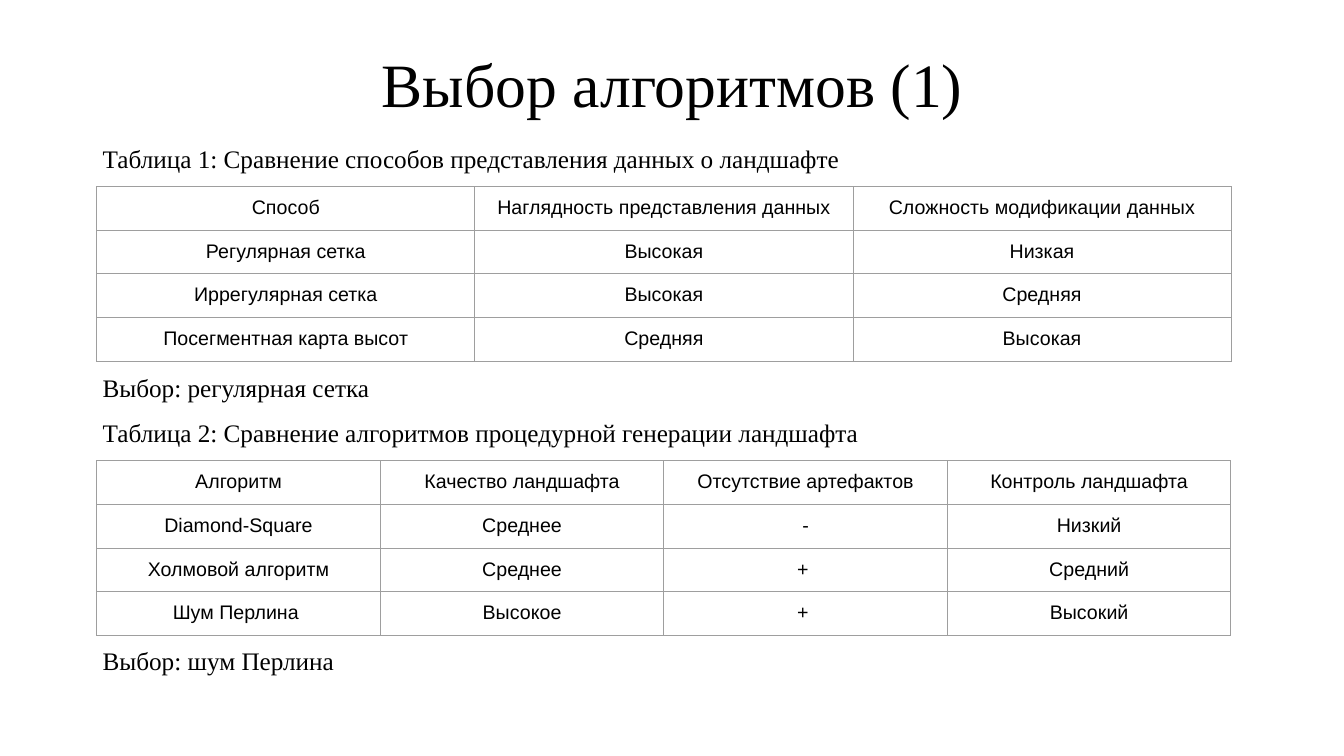
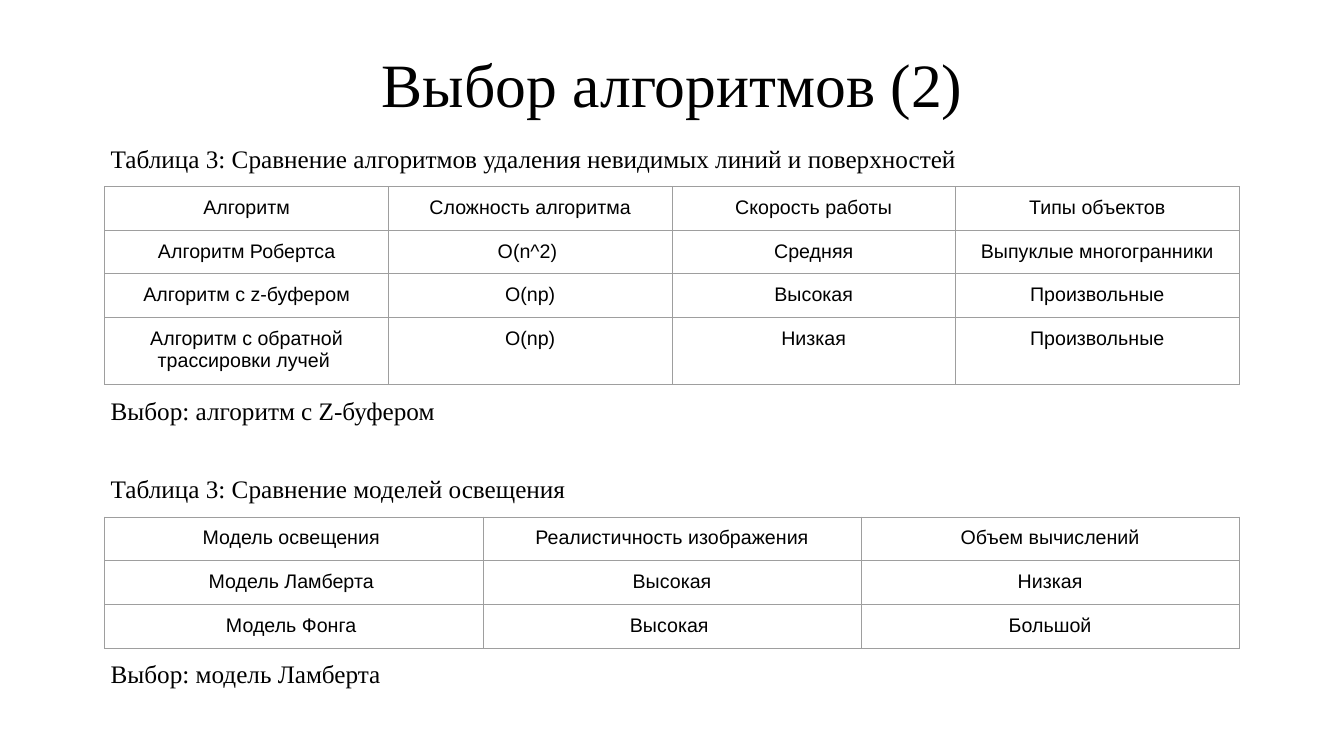
from lxml import etree
from pptx import Presentation
from pptx.dml.color import RGBColor
from pptx.enum.text import MSO_ANCHOR, PP_ALIGN
from pptx.oxml.ns import qn
from pptx.util import Inches, Pt

LEFT, CENTER = PP_ALIGN.LEFT, PP_ALIGN.CENTER
TOP, MIDDLE = MSO_ANCHOR.TOP, MSO_ANCHOR.MIDDLE
BLACK = RGBColor(0x00, 0x00, 0x00)
GREY = RGBColor(0x9E, 0x9E, 0x9E)
SERIF, SANS = "Times New Roman", "Arial"

# Content: each block has a caption, a table and a choice line;
# "top" is the table's top edge, "end" the top of the choice line
SLIDES = [
    {
        "title": "Выбор алгоритмов (1)",
        "left": 0.92,
        "blocks": [
            {
                "top": 1.85, "end": 3.59,
                "caption": "Таблица 1: Сравнение способов представления данных о ландшафте",
                "rows": [
                    ("Способ", "Наглядность представления данных", "Сложность модификации данных"),
                    ("Регулярная сетка", "Высокая", "Низкая"),
                    ("Иррегулярная сетка", "Высокая", "Средняя"),
                    ("Посегментная карта высот", "Средняя", "Высокая"),
                ],
                "choice": "Выбор: регулярная сетка",
            },
            {
                "top": 4.57, "end": 6.3,
                "caption": "Таблица 2: Сравнение алгоритмов процедурной генерации ландшафта",
                "rows": [
                    ("Алгоритм", "Качество ландшафта", "Отсутствие артефактов", "Контроль ландшафта"),
                    ("Diamond-Square", "Среднее", "-", "Низкий"),
                    ("Холмовой алгоритм", "Среднее", "+ ", "Средний"),
                    ("Шум Перлина ", "Высокое", "+ ", "Высокий"),
                ],
                "choice": "Выбор: шум Перлина",
            },
        ],
    },
    {
        "title": "Выбор алгоритмов (2)",
        "left": 1.0,
        "blocks": [
            {
                "top": 1.85, "end": 3.82,
                "caption": "Таблица 3: Сравнение алгоритмов удаления невидимых линий и поверхностей",
                "rows": [
                    ("Алгоритм", "Сложность алгоритма", "Скорость работы", "Типы объектов"),
                    ("Алгоритм Робертса", "O(n^2) ", "Средняя", "Выпуклые многогранники"),
                    ("Алгоритм с z-буфером", "O(np)", "Высокая", "Произвольные"),
                    ("Алгоритм с обратной трассировки лучей ", "O(np)", "Низкая", "Произвольные"),
                ],
                "choice": "Выбор: алгоритм с Z-буфером",
            },
            {
                "top": 5.13, "end": 6.43,
                "caption": "Таблица 3: Сравнение моделей освещения",
                "rows": [
                    ("Модель освещения ", "Реалистичность изображения", "Объем вычислений"),
                    ("Модель Ламберта ", "Высокая", "Низкая"),
                    ("Модель Фонга ", "Высокая ", "Большой"),
                ],
                "choice": "Выбор: модель Ламберта",
            },
        ],
    },
]

# Shared measures, in inches
PAD = 0.1
LINE_W, LINE_H = 11.33, 0.53
GRID_W, ROW_H, INDENT = 11.25, 0.42, 0.04


def write(frame, text, font=SERIF, size=18, align=LEFT, spacing=None):
    """Put one formatted paragraph into a text frame."""
    frame.word_wrap = True
    para = frame.paragraphs[0]
    para.alignment = align
    if spacing:
        para.line_spacing = spacing
    run = para.add_run()
    run.text = text
    run.font.name = font
    run.font.size = Pt(size)
    run.font.bold = False
    run.font.color.rgb = BLACK


def pad(item, side, edge):
    """Set the inner margins of a text frame or a table cell."""
    item.margin_left = item.margin_right = Inches(side)
    item.margin_top = item.margin_bottom = Inches(edge)


def add_text(slide, text, left, top, width=LINE_W, height=LINE_H,
             edge=PAD, anchor=TOP, **style):
    box = slide.shapes.add_textbox(
        Inches(left), Inches(top), Inches(width), Inches(height))
    frame = box.text_frame
    pad(frame, PAD, edge)
    frame.vertical_anchor = anchor
    write(frame, text, **style)


def add_borders(cell):
    props = cell._tc.get_or_add_tcPr()
    for side in ("a:lnL", "a:lnR", "a:lnT", "a:lnB"):
        line = etree.SubElement(props, qn(side), w=str(Pt(0.75)))
        fill = etree.SubElement(line, qn("a:solidFill"))
        etree.SubElement(fill, qn("a:srgbClr"), val=str(GREY))


def add_grid(slide, rows, left, top):
    count = len(rows[0])
    table = slide.shapes.add_table(
        len(rows), count, Inches(left), Inches(top),
        Inches(GRID_W), Inches(ROW_H * len(rows))).table
    table.first_row = table.horz_banding = False
    for col in table.columns:
        col.width = Inches(GRID_W / count)
    for r, row in enumerate(rows):
        table.rows[r].height = Inches(ROW_H)
        for c, text in enumerate(row):
            cell = table.cell(r, c)
            pad(cell, PAD, PAD)
            add_borders(cell)
            cell.fill.background()
            write(cell.text_frame, text, font=SANS, size=14, align=CENTER)


def add_block(slide, block, left):
    add_text(slide, block["caption"], left, block["top"] - LINE_H)
    add_grid(slide, block["rows"], left + INDENT, block["top"])
    add_text(slide, block["choice"], left, block["end"])


def main():
    deck = Presentation()
    deck.slide_width, deck.slide_height = Inches(13.33), Inches(7.5)
    blank = deck.slide_layouts[6]
    for data in SLIDES:
        slide = deck.slides.add_slide(blank)
        add_text(slide, data["title"], 0.92, 0.4, 11.5, 0.93, edge=0.05,
                 anchor=MIDDLE, size=44, align=CENTER, spacing=0.9)
        for block in data["blocks"]:
            add_block(slide, block, data["left"])
    deck.save("out.pptx")


if __name__ == "__main__":
    main()
